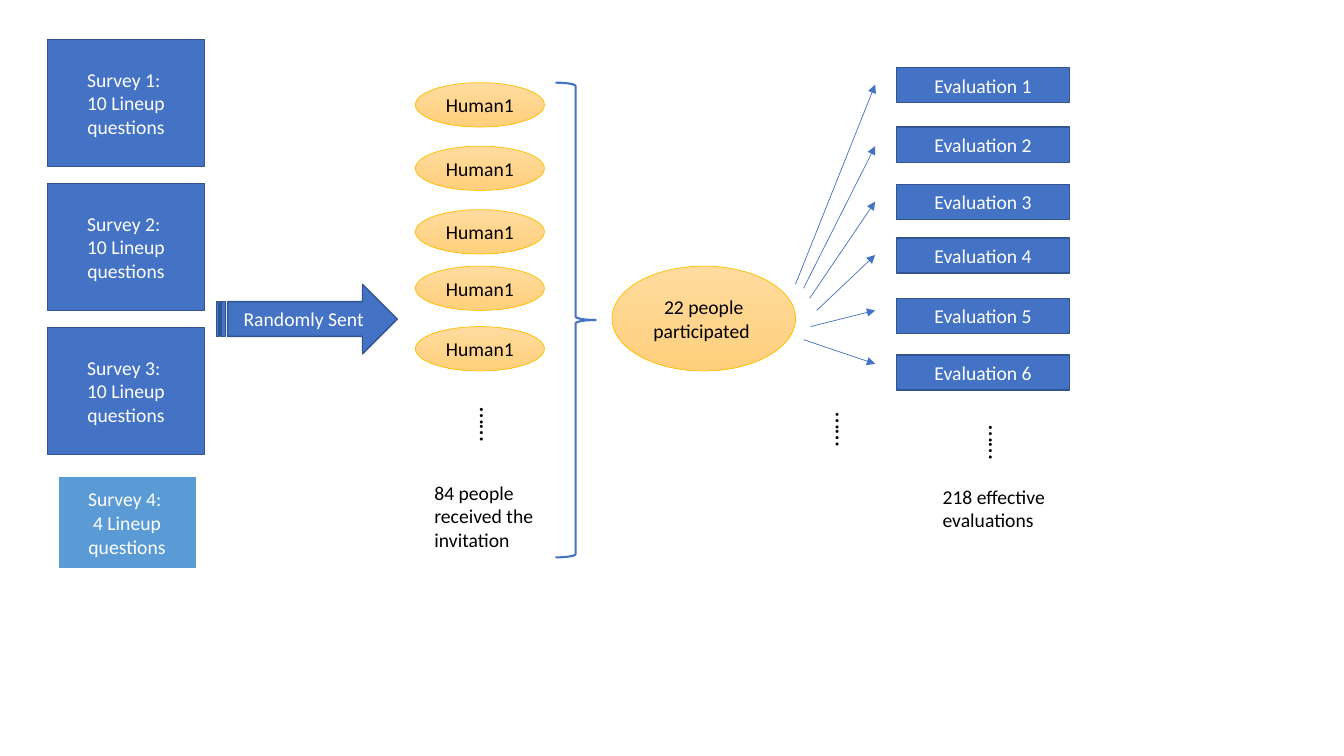
import dataclasses

import lxml.etree
import pptx
import pptx.dml.color
import pptx.enum.shapes
import pptx.enum.text
import pptx.oxml.ns
import pptx.util

SHAPES = pptx.enum.shapes.MSO_SHAPE
ALIGN = pptx.enum.text.PP_ALIGN
COLOR = pptx.dml.color.RGBColor.from_string
CELL = pptx.util.Inches(0.1)  # one column or row of the layout grid


@dataclasses.dataclass(frozen=True)
class Theme:
    font: str = "Calibri"
    body: int = 14
    dots: int = 18
    blue: str = "4472C4"
    blue_edge: str = "325491"
    light_blue: str = "5B9BD5"
    gold_top: str = "FFDB9E"
    gold_bottom: str = "FFD07C"
    gold_edge: str = "FFC000"
    white: str = "FFFFFF"
    black: str = "000000"


theme = Theme()
presentation = pptx.Presentation()
presentation.slide_width = pptx.util.Inches(13.33)
presentation.slide_height = pptx.util.Inches(7.5)
slide = presentation.slides.add_slide(presentation.slide_layouts[6])


def write(shape, lines, color, size=theme.body, align=ALIGN.CENTER):
    frame = shape.text_frame
    frame.word_wrap = True
    for index, line in enumerate(lines):
        paragraph = frame.add_paragraph() if index else frame.paragraphs[0]
        paragraph.alignment = align
        run = paragraph.add_run()
        run.text = line
        run.font.name = theme.font
        run.font.size = pptx.util.Pt(size)
        run.font.color.rgb = COLOR(color)


def add_node(kind, box, lines, fill=theme.blue, edge=theme.blue_edge, weight=1):
    shape = slide.shapes.add_shape(kind, *(int(cells * CELL) for cells in box))
    shape.shadow.inherit = False
    shape.line.color.rgb = COLOR(edge)
    shape.line.width = pptx.util.Pt(weight)
    if kind == SHAPES.OVAL:
        shape.fill.gradient()
        shape.fill.gradient_angle = 270
        for stop, color in zip(shape.fill.gradient_stops, (theme.gold_top, theme.gold_bottom)):
            stop.color.rgb = COLOR(color)
    elif fill:
        shape.fill.solid()
        shape.fill.fore_color.rgb = COLOR(fill)
    else:
        shape.fill.background()
    shape.text_frame.vertical_anchor = pptx.enum.text.MSO_ANCHOR.MIDDLE
    write(shape, lines, theme.black if kind == SHAPES.OVAL else theme.white)


# Surveys
for index in range(3):
    add_node(SHAPES.RECTANGLE, (4.7, 3.9 + 14.3 * index, 15.6, 12.6),
             (f"Survey {index + 1}: ", "10 Lineup questions"))
add_node(SHAPES.RECTANGLE, (5.7, 47.2, 13.8, 9.3), ("Survey 4: ", "4 Lineup questions"),
         theme.light_blue, theme.white, 1.5)
add_node(SHAPES.STRIPED_RIGHT_ARROW, (21.5, 28.2, 17.9, 6.9), ("Randomly Sent",))

# Invited people and participants
for top in (8.2, 14.5, 20.8, 26.4, 32.4):
    add_node(SHAPES.OVAL, (41.2, top, 12.8, 4.4), ("Human1",), edge=theme.gold_edge, weight=0.5)
add_node(SHAPES.RIGHT_BRACE, (55.1, 8.2, 4, 47.1), (), None, theme.blue, 1.5)
add_node(SHAPES.OVAL, (60.7, 26.4, 18.2, 10.4), ("22 people participated ",),
         edge=theme.gold_edge, weight=0.5)

# Evaluations
for number, top in enumerate((6.7, 12.6, 18.3, 23.6, 29.6, 35.2), 1):
    add_node(SHAPES.RECTANGLE, (88.9, top, 17.2, 3.5), (f"Evaluation {number}",))

# Arrows from participants to evaluations: start column, start row, end row
for column, start, end in ((78.9, 28.2, 8.4), (79.7, 28.6, 14.5), (80.3, 29.6, 20),
                           (81, 30.8, 25.3), (80.4, 32.4, 30.8), (79.7, 33.7, 36.1)):
    arrow = slide.shapes.add_connector(
        pptx.enum.shapes.MSO_CONNECTOR.STRAIGHT,
        *(int(cells * CELL) for cells in (column, start, 86.8, end)))
    arrow.line.color.rgb = COLOR(theme.blue)
    arrow.line.width = pptx.util.Pt(0.5)
    lxml.etree.SubElement(arrow.line._get_or_add_ln(), pptx.oxml.ns.qn("a:tailEnd"),
                          type="triangle")
    lxml.etree.SubElement(arrow._element.spPr, pptx.oxml.ns.qn("a:effectLst"))

# Captions and vertical dots
for box, text, size, rotation in (
        ((44.7, 41.3, 7.8, 4), "……", theme.dots, 90),
        ((80, 41.8, 7.8, 4), "……", theme.dots, 90),
        ((95.2, 43.1, 7.8, 4), "……", theme.dots, 90),
        ((42.1, 47.2, 13.1, 8.1), "84 people received the invitation", theme.body, 0),
        ((92.5, 47.6, 13.1, 5.7), "218 effective evaluations", theme.body, 0)):
    caption = slide.shapes.add_textbox(*(int(cells * CELL) for cells in box))
    caption.rotation = rotation
    caption.text_frame.auto_size = pptx.enum.text.MSO_AUTO_SIZE.SHAPE_TO_FIT_TEXT
    write(caption, (text,), theme.black, size, ALIGN.LEFT)

presentation.save("out.pptx")
